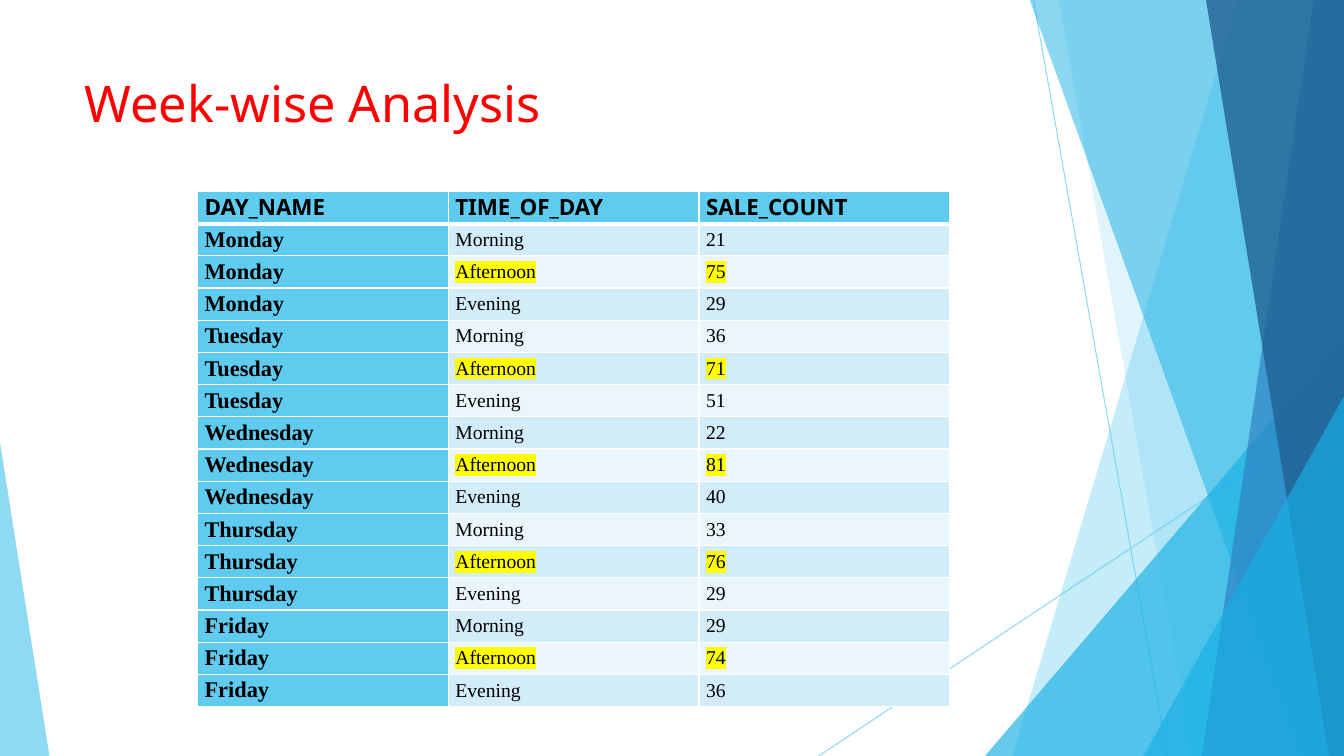
from pptx import Presentation
from pptx import util as u
from pptx.dml import color as c
from pptx.enum import shapes as s, text as t
from pptx.oxml import ns, xmlchemy as x

SKY, CYAN, BLUE, NAVY = "5FCBEF", "17B0E4", "2E83C3", "226292"
BLACK, WHITE, RED, YELLOW = "000000", "FFFFFF", "FF0000", "FFFF00"
BANDS = ["D2ECF9", "EAF6FC"]
HEADS = ["DAY_NAME", "TIME_OF_DAY", "SALE_COUNT"]
TIMES = ["Morning", "Afternoon", "Evening"]
SALES = {
    "Monday": [21, 75, 29],
    "Tuesday": [36, 71, 51],
    "Wednesday": [22, 81, 40],
    "Thursday": [33, 76, 29],
    "Friday": [29, 74, 36],
}


def paint(fill, tone, alpha=100):
    fill.solid()
    fill.fore_color.rgb = c.RGBColor.from_string(tone)
    if alpha < 100:
        node = x.OxmlElement("a:alpha")
        node.set("val", str(alpha * 1000))
        fill._xPr.find(ns.qn("a:solidFill"))[0].append(node)


def write(frame, words, size=14, font="Times New Roman", tone=BLACK, bold=False, mark=None):
    para = frame.paragraphs[0]
    para.alignment = t.PP_ALIGN.LEFT
    run = para.add_run()
    run.text = words
    run.font.size = u.Pt(size)
    run.font.bold = bold
    run.font.name = font
    paint(run.font.fill, tone)
    if mark:
        light = x.OxmlElement("a:highlight")
        shade = x.OxmlElement("a:srgbClr")
        shade.set("val", mark)
        light.append(shade)
        run.font.fill._xPr.find(ns.qn("a:solidFill")).addnext(light)


class Deck:
    """Holds the deck style and the current slide."""

    def __init__(self):
        self.show = Presentation()
        self.show.slide_width = u.Inches(13.33)
        self.show.slide_height = u.Inches(7.5)
        self.slide = self.show.slides.add_slide(self.show.slide_layouts[5])
        self.items = self.slide.shapes

    def title(self, words, *box):
        head = self.items.title
        head.left, head.top, head.width, head.height = map(u.Inches, box)
        head.text_frame.vertical_anchor = t.MSO_ANCHOR.TOP
        head.text_frame.auto_size = t.MSO_AUTO_SIZE.NONE
        write(head.text_frame, words, size=36, font="Noto Sans", tone=RED)

    def line(self, *ends):
        link = self.items.add_connector(s.MSO_CONNECTOR.STRAIGHT, *map(u.Inches, ends))
        link.line.width = u.Pt(0.75)
        paint(link.line.fill, SKY, 70)
        link._element.spPr.append(x.OxmlElement("a:effectLst"))

    def finish(self, shape, tone, alpha):
        shape.shadow.inherit = False
        paint(shape.fill, tone, alpha)
        shape.line.fill.background()

    def shard(self, top, base, tone, alpha):
        spots = [(13.33, -0.01), (13.33, 7.5), (base, 7.5)]
        form = self.items.build_freeform(u.Inches(top), u.Inches(-0.01))
        form.add_line_segments([tuple(map(u.Inches, spot)) for spot in spots])
        self.finish(form.convert_to_shape(), tone, alpha)

    def wedge(self, box, peak, tone, alpha):
        shape = self.items.add_shape(s.MSO_SHAPE.ISOSCELES_TRIANGLE, *map(u.Inches, box))
        shape.adjustments[0] = peak
        self.finish(shape, tone, alpha)

    def border(self, cell, low):
        props = cell._tc.get_or_add_tcPr()
        for spot, side in enumerate("LRTB"):
            edge = x.OxmlElement(f"a:ln{side}")
            edge.set("w", str(u.Pt(low if side == "B" else 1)))
            fill = x.OxmlElement("a:solidFill")
            shade = x.OxmlElement("a:srgbClr")
            shade.set("val", WHITE)
            fill.append(shade)
            edge.append(fill)
            props.insert(spot, edge)

    def cell(self, cell, words, fill, low=1, **style):
        cell.margin_left = cell.margin_right = u.Inches(0.07)
        cell.margin_top = cell.margin_bottom = 0
        cell.vertical_anchor = t.MSO_ANCHOR.TOP if low > 1 else t.MSO_ANCHOR.MIDDLE
        paint(cell.fill, fill)
        self.border(cell, low)
        write(cell.text_frame, words, **style)

    def table(self, heads, rows, *box):
        frame = self.items.add_table(len(rows) + 1, len(heads), *map(u.Inches, box))
        grid = frame.table
        for col, head in enumerate(heads):
            self.cell(grid.cell(0, col), head, SKY, low=3, size=16, font="Noto Sans", bold=True)
        for row, (day, time, count) in enumerate(rows, 1):
            self.cell(grid.cell(row, 0), day, SKY, size=16, bold=True)
            mark = YELLOW if time == "Afternoon" else None
            for col, words in enumerate([time, str(count)], 1):
                self.cell(grid.cell(row, col), words, BANDS[(row - 1) % 2], mark=mark)


def main():
    deck = Deck()
    deck.line(10.25, 0, 11.58, 7.5)
    deck.line(13.33, 4.03, 8.12, 7.5)
    deck.shard(12.28, 10.04, SKY, 36)
    deck.shard(10.5, 11.83, SKY, 20)
    deck.wedge((9.77, 3.33, 3.56, 4.17), 1, CYAN, 66)
    deck.shard(10.21, 12.91, CYAN, 50)
    deck.shard(13.03, 11.92, BLUE, 70)
    deck.shard(11.96, 13.18, NAVY, 80)
    deck.wedge((11.34, 3.93, 1.99, 3.57), 1, CYAN, 66)
    deck.wedge((0, 4.39, 0.49, 3.11), 0, SKY, 70)
    deck.title("Week-wise Analysis", 0.74, 0.67, 9.4, 1.44)
    rows = [(day, time, count) for day, counts in SALES.items() for time, count in zip(TIMES, counts)]
    deck.table(HEADS, rows, 1.96, 1.9, 7.46, 5.11)
    deck.show.save("out.pptx")


if __name__ == "__main__":
    main()
